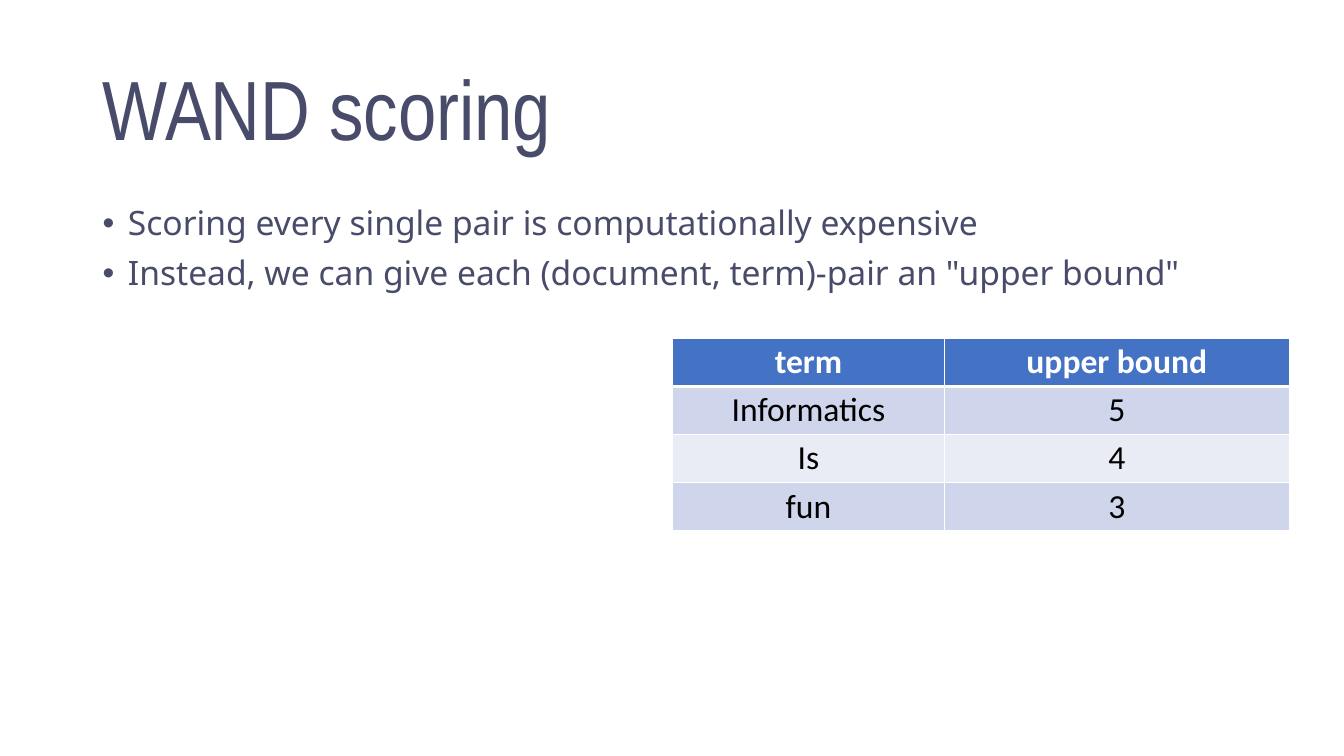
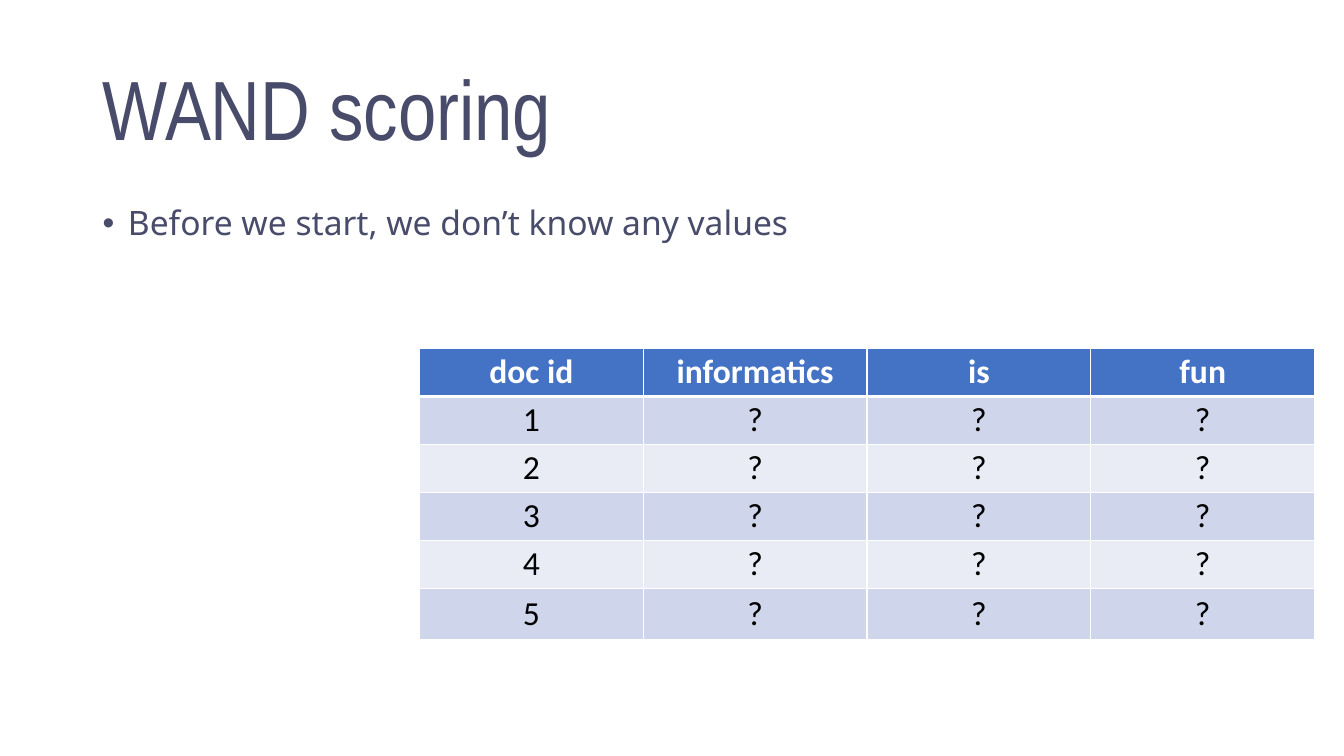
import pptx
import pptx.dml.color
import pptx.enum.text
import pptx.oxml
import pptx.oxml.ns
import pptx.util
from lxml import etree

Cm = pptx.util.Cm
Pt = pptx.util.Pt
ALIGN = pptx.enum.text.PP_ALIGN
ANCHOR = pptx.enum.text.MSO_ANCHOR
COLOURS = {
    "ink": "484B6A",
    "header": "4472C4",
    "band_dark": "CFD5EA",
    "band_light": "E9EBF5",
    "white": "FFFFFF",
    "black": "000000",
}
TITLE = "WAND scoring"
TITLE_BOX = (2.33, 1.02, 29.21, 3.68)
BODY_BOX = (2.33, 5.08, 29.21, 13.46)
BULLET_INDENT = 0.64
ROW_HEIGHT = 1.21


def colour(name):
    """Return the named palette colour."""
    return pptx.dml.color.RGBColor.from_string(COLOURS[name])


def style_font(para, face, size, colour_name, bold=False):
    """Set the font of a whole paragraph."""
    font = para.font
    font.name, font.size, font.bold = face, Pt(size), bold
    font.color.rgb = colour(colour_name)


def place(box, bounds, anchor):
    """Move a placeholder and fix how its text sits."""
    box.left, box.top, box.width, box.height = map(Cm, bounds)
    frame = box.text_frame
    frame.auto_size = pptx.enum.text.MSO_AUTO_SIZE.NONE
    frame.word_wrap = True
    frame.vertical_anchor = anchor
    return frame


def add_bullets(page, lines):
    """Fill the body placeholder with bulleted lines."""
    frame = place(page.placeholders[1], BODY_BOX, ANCHOR.TOP)
    frame.text = "\n".join(lines)
    for para in frame.paragraphs:
        style_font(para, "Noto Sans", 24, "ink")
        para.line_spacing = 0.9
        para.space_before = Pt(10)
        properties = para._p.get_or_add_pPr()
        properties.set("marL", str(Cm(BULLET_INDENT)))
        properties.set("indent", str(-Cm(BULLET_INDENT)))


def add_page(deck, lines):
    """Add a page with the shared title and a bulleted list."""
    page = deck.slides.add_slide(deck.slide_layouts[1])
    frame = place(page.shapes.title, TITLE_BOX, ANCHOR.MIDDLE)
    frame.text = TITLE
    para = frame.paragraphs[0]
    para.alignment = ALIGN.LEFT
    para.line_spacing = 0.9
    style_font(para, "Arial Narrow", 60, "ink")
    add_bullets(page, lines)
    return page


def add_borders(cell, widths):
    """Draw white cell borders, given as points by side."""
    properties = cell._tc.get_or_add_tcPr()
    qualify = pptx.oxml.ns.qn
    for side, width in widths.items():
        line = etree.SubElement(properties, qualify(f"a:ln{side}"), w=str(Pt(width)))
        fill = etree.SubElement(line, qualify("a:solidFill"))
        etree.SubElement(fill, qualify("a:srgbClr"), val=COLOURS["white"])


def format_cell(cell, text, row):
    """Write and style one cell by its row number."""
    header = row == 0
    add_borders(cell, {"L": 1, "R": 1, "T": 3 if row == 1 else 1, "B": 3 if header else 1})
    cell.fill.solid()
    band = "band_dark" if row % 2 else "band_light"
    cell.fill.fore_color.rgb = colour("header" if header else band)
    cell.margin_left = cell.margin_right = Cm(0.18)
    cell.margin_top = cell.margin_bottom = Cm(0.08)
    cell.vertical_anchor = ANCHOR.MIDDLE
    cell.text = text
    para = cell.text_frame.paragraphs[0]
    para.alignment = ALIGN.CENTER
    style_font(para, "Calibri", 24, "white" if header else "black", header)


def add_table(page, left, top, widths, rows, last_height=ROW_HEIGHT):
    """Add a banded table with a header row."""
    heights = [ROW_HEIGHT] * (len(rows) - 1) + [last_height]
    table = page.shapes.add_table(
        len(rows), len(widths), Cm(left), Cm(top), Cm(sum(widths)), Cm(sum(heights))
    ).table
    for column, width in zip(table.columns, widths):
        column.width = Cm(width)
    for row, (texts, height) in enumerate(zip(rows, heights)):
        table.rows[row].height = Cm(height)
        for column, text in enumerate(texts):
            format_cell(table.cell(row, column), text, row)


def main():
    """Build and save the deck."""
    deck = pptx.Presentation()
    deck.slide_width, deck.slide_height = Cm(33.87), Cm(19.05)

    page = add_page(deck, [
        "Scoring every single pair is computationally expensive",
        'Instead, we can give each (document, term)-pair an "upper bound"',
    ])
    bounds = [("term", "upper bound"), ("Informatics", "5"), ("Is", "4"), ("fun", "3")]
    add_table(page, 16.95, 8.53, [6.85, 8.69], bounds)

    page = add_page(deck, ["Before we start, we don’t know any values"])
    scores = [("doc id", "informatics", "is", "fun")]
    scores += [(str(number), "?", "?", "?") for number in range(1, 6)]
    add_table(page, 10.57, 8.78, [5.64] * 4, scores, last_height=1.28)

    deck.save("out.pptx")


if __name__ == "__main__":
    main()
